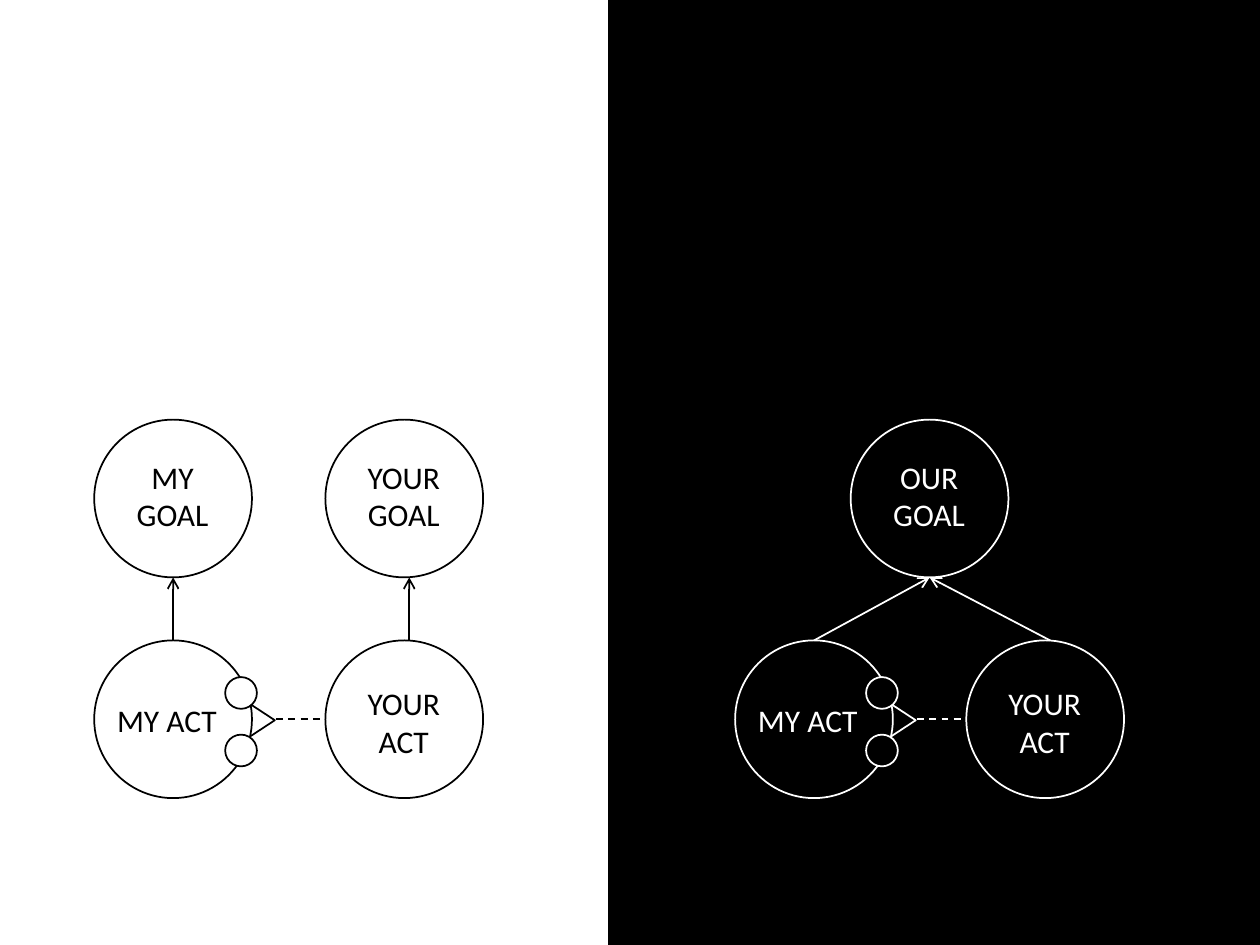
from dataclasses import dataclass
from lxml.etree import SubElement
from pptx import Presentation
from pptx.dml.color import RGBColor
from pptx.enum.dml import MSO_LINE
from pptx.enum.shapes import MSO_CONNECTOR, MSO_SHAPE
from pptx.enum.text import MSO_AUTO_SIZE, PP_ALIGN
from pptx.oxml.ns import qn
from pptx.util import Cm, Pt


@dataclass(frozen=True)
class Theme:
    black: RGBColor = RGBColor(0, 0, 0)
    white: RGBColor = RGBColor(255, 255, 255)
    font: str = "Calibri"
    size: int = 18
    line: int = 1


THEME = Theme()
DISC = 3.18
EYE = 0.64
ROW = 4.45
STEP = 4.66
MID = DISC / 2


def apply(item, form):
    for name, value in form.items():
        setattr(item, name, value)


class Scene:
    def __init__(self, shapes, left, top, ink, paper):
        self.shapes, self.left, self.top = shapes, left, top
        self.ink, self.paper = ink, paper

    def place(self, x, y):
        return Cm(self.left + x), Cm(self.top + y)

    def shape(self, kind, x, y, width, height, turn=0):
        item = self.shapes.add_shape(kind, *self.place(x, y), Cm(width), Cm(height))
        item.rotation = turn
        item.shadow.inherit = False
        item.fill.solid()
        item.fill.fore_color.rgb = self.paper
        item.line.color.rgb = self.ink
        item.line.width = Pt(THEME.line)

    def label(self, text, x, y, height=1.8, align=PP_ALIGN.CENTER):
        box = self.shapes.add_textbox(*self.place(x + 0.21, y), Cm(2.74), Cm(height))
        frame = box.text_frame
        apply(frame, {"word_wrap": True, "auto_size": MSO_AUTO_SIZE.SHAPE_TO_FIT_TEXT})
        part = frame.paragraphs[0]
        apply(part, {"text": text, "alignment": align})
        font = part.runs[0].font
        apply(font, {"name": THEME.font, "size": Pt(THEME.size)})
        font.color.rgb = self.ink

    def link(self, start, end, dash=None):
        item = self.shapes.add_connector(
            MSO_CONNECTOR.STRAIGHT, *self.place(*start), *self.place(*end))
        item.line.color.rgb = self.ink
        apply(item.line, {"width": Pt(THEME.line), "dash_style": dash})
        if dash is None:
            SubElement(item.line._get_or_add_ln(), qn("a:tailEnd"), type="arrow")
        SubElement(item._element.spPr, qn("a:effectLst"))

    def disc(self, x, y, size=DISC):
        self.shape(MSO_SHAPE.OVAL, x, y, size, size)


def draw_acts(scene):
    scene.link((DISC, 6.04), (STEP, 6.04), MSO_LINE.DASH)
    scene.shape(MSO_SHAPE.ISOSCELES_TRIANGLE, 2.9, 5.74, 0.84, EYE, 90)
    scene.disc(0, ROW)
    scene.label("MY ACT", 0, 5.54, 1.02, PP_ALIGN.LEFT)
    scene.disc(STEP, ROW)
    scene.label("YOUR ACT", STEP, 5.2)
    for y in (5.19, 6.35):
        scene.disc(2.64, y, EYE)


def draw_goals(scene, goals, ends):
    for text, x in goals:
        scene.disc(x, 0)
        scene.label(text, x, 0.64)
    for start, end in zip((MID, 6.35), ends):
        scene.link((start, ROW), (end, DISC))


def draw_half(shapes, left, top, ink, paper, goals, ends):
    scene = Scene(shapes, left, top, ink, paper)
    draw_acts(scene)
    draw_goals(scene, goals, ends)


def draw_panel(shapes, left, top, width, height):
    panel = Scene(shapes, left, top, THEME.black, THEME.black)
    panel.shape(MSO_SHAPE.RECTANGLE, 0, 0, width, height)


def main():
    deck = Presentation()
    apply(deck, {"slide_width": Cm(25.4), "slide_height": Cm(19.05)})
    slide = deck.slides.add_slide(deck.slide_layouts[6])
    shapes = slide.shapes
    draw_panel(shapes, 12.27, 0, 13.13, 19.05)
    draw_half(shapes, 1.9, 8.46, THEME.black, THEME.white,
              [("MY GOAL", 0), ("YOUR GOAL", STEP)], (MID, 6.35))
    peak = STEP / 2
    draw_half(shapes, 14.82, 8.46, THEME.white, THEME.black,
              [("OUR GOAL", peak)], (peak + MID, peak + MID))
    deck.save("out.pptx")


if __name__ == "__main__":
    main()
